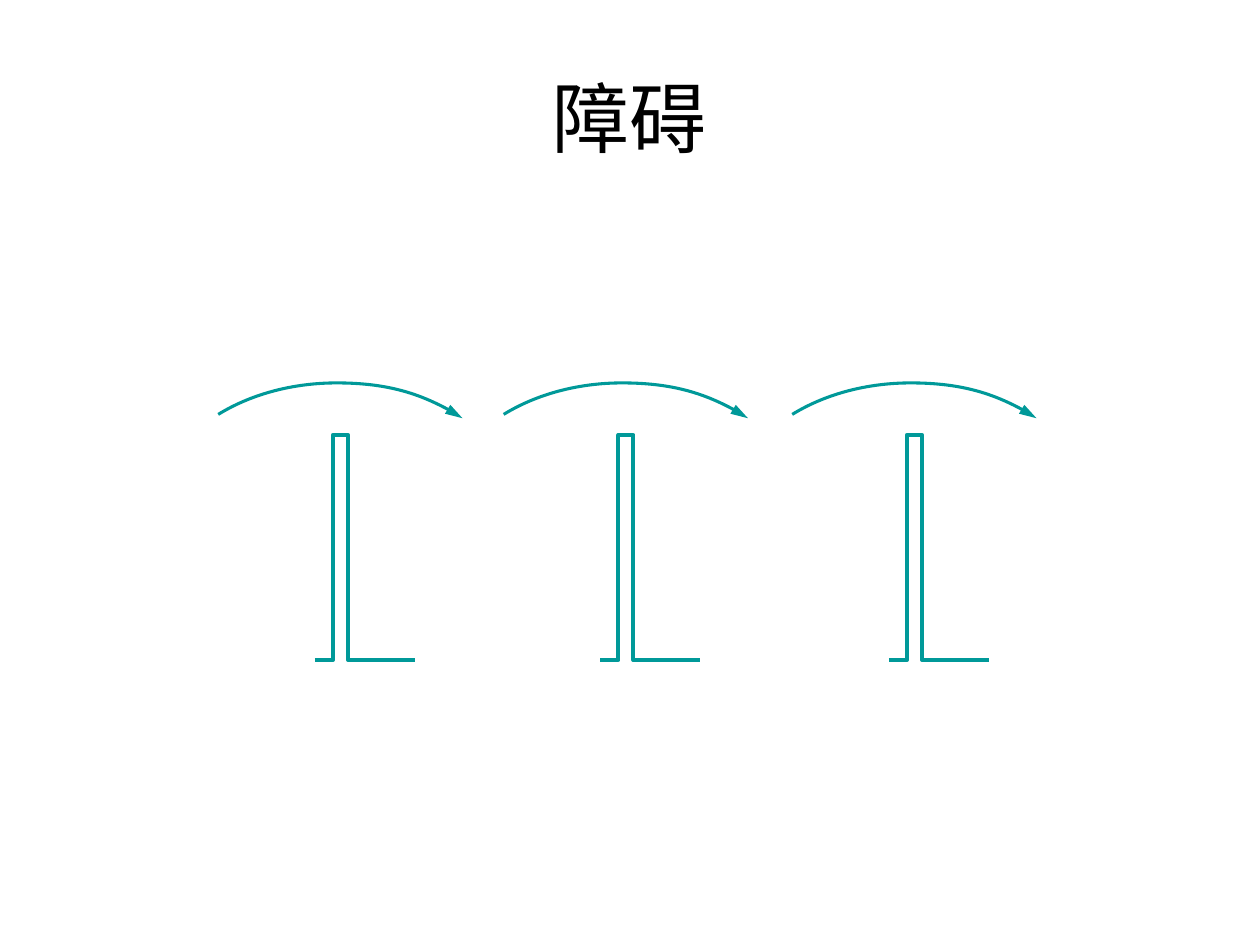
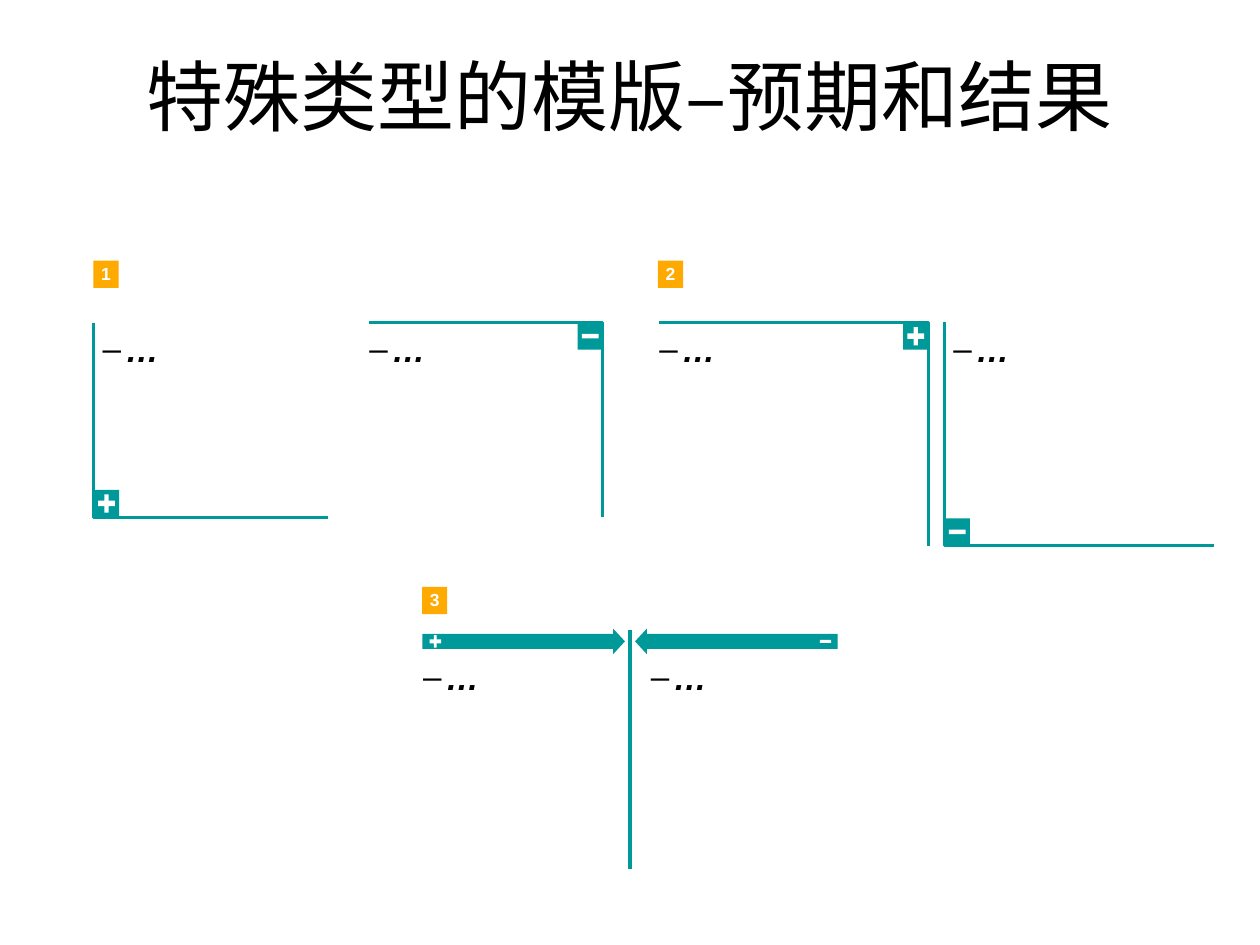
from copy import deepcopy

from lxml.etree import SubElement
from pptx import Presentation
from pptx.dml.color import RGBColor
from pptx.enum.shapes import MSO_CONNECTOR, MSO_SHAPE
from pptx.enum.text import MSO_ANCHOR, MSO_AUTO_SIZE, PP_ALIGN
from pptx.oxml.ns import qn
from pptx.util import Pt

TEAL, ORANGE, WHITE, BLACK = "009999", "FFAA00", "FFFFFF", "000000"
FONT = "Arial"
THIN, THICK = 1.75, 2.25
BADGE_WIDTH, BADGE_HEIGHT = 14.4, 15.6


def color(hex_string):
    """Turn a hex string into a colour."""
    return RGBColor.from_string(hex_string)


def add_run(paragraph, text, size, hex_string, bold=False, italic=False):
    """Append one formatted run."""
    run = paragraph.add_run()
    run.text = text
    run.font.name = FONT
    run.font.size = Pt(size)
    run.font.bold = bold
    run.font.italic = italic
    run.font.color.rgb = color(hex_string)


def add_titled_slide(presentation, text, left, top, width, height):
    """Add a title-only slide and place its title."""
    slide = presentation.slides.add_slide(presentation.slide_layouts[5])
    title = slide.shapes.title
    title.left, title.top, title.width, title.height = map(Pt, (left, top, width, height))
    frame = title.text_frame
    frame.auto_size = MSO_AUTO_SIZE.NONE
    frame.vertical_anchor = MSO_ANCHOR.MIDDLE
    frame.paragraphs[0].alignment = PP_ALIGN.CENTER
    add_run(frame.paragraphs[0], text, 44, BLACK)
    return slide


def add_solid(slide, preset, left, top, width, height, fill, adjustments=()):
    """Add a filled preset shape without an outline."""
    shape = slide.shapes.add_shape(preset, *map(Pt, (left, top, width, height)))
    shape.shadow.inherit = False
    shape.fill.solid()
    shape.fill.fore_color.rgb = color(fill)
    shape.line.fill.background()
    for index, value in enumerate(adjustments):
        shape.adjustments[index] = value
    return shape


def add_outline(slide, points, weight):
    """Draw an open teal line through the points."""
    start, *others = [(Pt(x), Pt(y)) for x, y in points]
    builder = slide.shapes.build_freeform(*start)
    builder.add_line_segments(others, close=False)
    shape = builder.convert_to_shape()
    shape.shadow.inherit = False
    shape.fill.background()
    shape.line.color.rgb = color(TEAL)
    shape.line.width = Pt(weight)
    return shape


def bend_into_arc(shape):
    """Turn six segments into two curves, and the seventh into an unlined sector."""
    sector = next(shape.element.iter(qn("a:path")))
    *controls, center = sector.findall(qn("a:lnTo"))
    for first in (0, 3):
        curve = SubElement(sector, qn("a:cubicBezTo"))
        for segment in controls[first:first + 3]:
            curve.append(segment[0])
            sector.remove(segment)
    sector.remove(center)
    arc = deepcopy(sector)
    arc.set("fill", "none")
    sector.addprevious(arc)
    sector.set("stroke", "0")
    sector.append(center)
    SubElement(sector, qn("a:close"))


def add_jump_arrow(slide, left, top):
    """Draw a curved arrow that leaps to the right."""
    points = [(left + x, top + y) for x, y in (
        (139.6, 20.2), (120.2, 7.2), (95, 0), (67.7, 0),
        (42.5, 0), (18.7, 6.5), (0, 18), (67.7, 82.8))]
    arrow = add_outline(slide, points, THIN)
    bend_into_arc(arrow)
    SubElement(arrow.element.spPr.find(qn("a:ln")), qn("a:headEnd"),
               type="triangle", w="med", len="lg")


def add_obstacle(slide, left, top):
    """Draw a wall on the ground with an arrow over it."""
    wall_top, ground = top + 29.7, top + 158.4
    add_outline(slide, [(left, ground), (left + 10.3, ground), (left + 10.3, wall_top),
                        (left + 18.9, wall_top), (left + 18.9, ground),
                        (left + 57.2, ground)], THICK)
    add_jump_arrow(slide, left - 55.3, top)


def add_sign(slide, sign, center_x, center_y, width, height):
    """Add a white plus or minus around a centre."""
    is_plus = sign == "+"
    preset = MSO_SHAPE.CROSS if is_plus else MSO_SHAPE.RECTANGLE
    height = height if is_plus else height / 4
    add_solid(slide, preset, center_x - width / 2, center_y - height / 2,
              width, height, WHITE, [0.376] if is_plus else [])


def add_dash_text(slide, left, top, width):
    """Add the dash-bulleted placeholder text."""
    box = slide.shapes.add_textbox(*map(Pt, (left, top, width, 13)))
    frame = box.text_frame
    frame.margin_left = frame.margin_right = frame.margin_top = frame.margin_bottom = 0
    frame.word_wrap = True
    frame.auto_size = MSO_AUTO_SIZE.SHAPE_TO_FIT_TEXT
    paragraph = frame.paragraphs[0]
    paragraph.level = 1
    properties = paragraph._p.get_or_add_pPr()
    properties.set("marL", str(Pt(13)))
    properties.set("indent", str(-Pt(13)))
    SubElement(properties, qn("a:buFont"), typeface=FONT)
    SubElement(properties, qn("a:buChar"), char="–")
    add_run(paragraph, "…", 19, BLACK, bold=True, italic=True)


def add_number(slide, number, left, top):
    """Add an orange numbered square."""
    shape = add_solid(slide, MSO_SHAPE.RECTANGLE, left, top, BADGE_WIDTH, BADGE_HEIGHT, ORANGE)
    frame = shape.text_frame
    frame.margin_left = frame.margin_right = frame.margin_top = frame.margin_bottom = 0
    frame.word_wrap = False
    frame.vertical_anchor = MSO_ANCHOR.MIDDLE
    paragraph = frame.paragraphs[0]
    paragraph.alignment = PP_ALIGN.CENTER
    paragraph.line_spacing = 0.93
    add_run(paragraph, str(number), 10, WHITE, bold=True)


def add_corner_frame(slide, sign, at_bottom_left, left, top, width, height):
    """Draw an L-shaped frame with a signed badge in its corner."""
    right, bottom = left + width, top + height
    if at_bottom_left:
        corner, inset = (left, bottom), 5
        badge_left, badge_top = left, bottom - BADGE_HEIGHT
    else:
        corner, inset = (right, top), 0.3
        badge_left, badge_top = right - BADGE_WIDTH, top
    add_solid(slide, MSO_SHAPE.RECTANGLE, badge_left, badge_top,
              BADGE_WIDTH, BADGE_HEIGHT, TEAL)
    add_sign(slide, sign, badge_left + BADGE_WIDTH / 2, badge_top + BADGE_HEIGHT / 2, 9.6, 10.4)
    add_outline(slide, [(left, top), corner, (right, bottom)], THIN)
    add_dash_text(slide, left + inset, top + 4, width - 6)


def add_facing_arrows(slide, left, top, width, height):
    """Draw two signed arrows that meet at a vertical divider."""
    middle, arrow_width, arrow_height = left + width / 2, 115.8, 14.6
    center_y = top + 6.5
    sides = (("+", MSO_SHAPE.RIGHT_ARROW, left, left + 7.5, left + 0.5),
             ("−", MSO_SHAPE.LEFT_ARROW, left + width - arrow_width,
              left + width - 7, middle + 12))
    for sign, preset, arrow_left, sign_x, text_left in sides:
        add_solid(slide, preset, arrow_left, center_y - arrow_height / 2,
                  arrow_width, arrow_height, TEAL, [0.582, 0.462])
        add_sign(slide, sign, sign_x, center_y, 6.5, 7.2)
        add_dash_text(slide, text_left, top + 15.8, 108)
    divider = slide.shapes.add_connector(
        MSO_CONNECTOR.STRAIGHT, *map(Pt, (middle, top, middle, top + height)))
    divider.line.color.rgb = color(TEAL)
    divider.line.width = Pt(THIN)
    SubElement(divider.element.spPr, qn("a:effectLst"))


def build_obstacles(presentation):
    """Build the slide with three obstacles."""
    slide = add_titled_slide(presentation, "障碍", 36, 21.6, 648, 90)
    for left in (180, 343.1, 508):
        add_obstacle(slide, left, 218.8)


def build_expectations(presentation):
    """Build the slide with three expectation and result templates."""
    slide = add_titled_slide(presentation, "特殊类型的模版–预期和结果", 60, 34.2, 600, 39.6)
    top = 184.3
    add_corner_frame(slide, "+", True, 53.7, top, 133.8, 111.2)
    add_corner_frame(slide, "−", False, 210.7, top, 133.8, 111.2)
    add_corner_frame(slide, "+", False, 376.5, top, 154, 127.5)
    add_corner_frame(slide, "−", True, 539.8, top, 154, 127.5)
    add_facing_arrows(slide, 241.3, 360, 237.4, 136.8)
    for number, (left, number_top) in enumerate(
            ((53.4, 148.9), (376, 148.9), (241.2, 335.4)), start=1):
        add_number(slide, number, left, number_top)


def main():
    """Build and save the presentation."""
    presentation = Presentation()
    presentation.slide_width, presentation.slide_height = Pt(720), Pt(540)
    build_obstacles(presentation)
    build_expectations(presentation)
    presentation.save("out.pptx")


if __name__ == "__main__":
    main()
